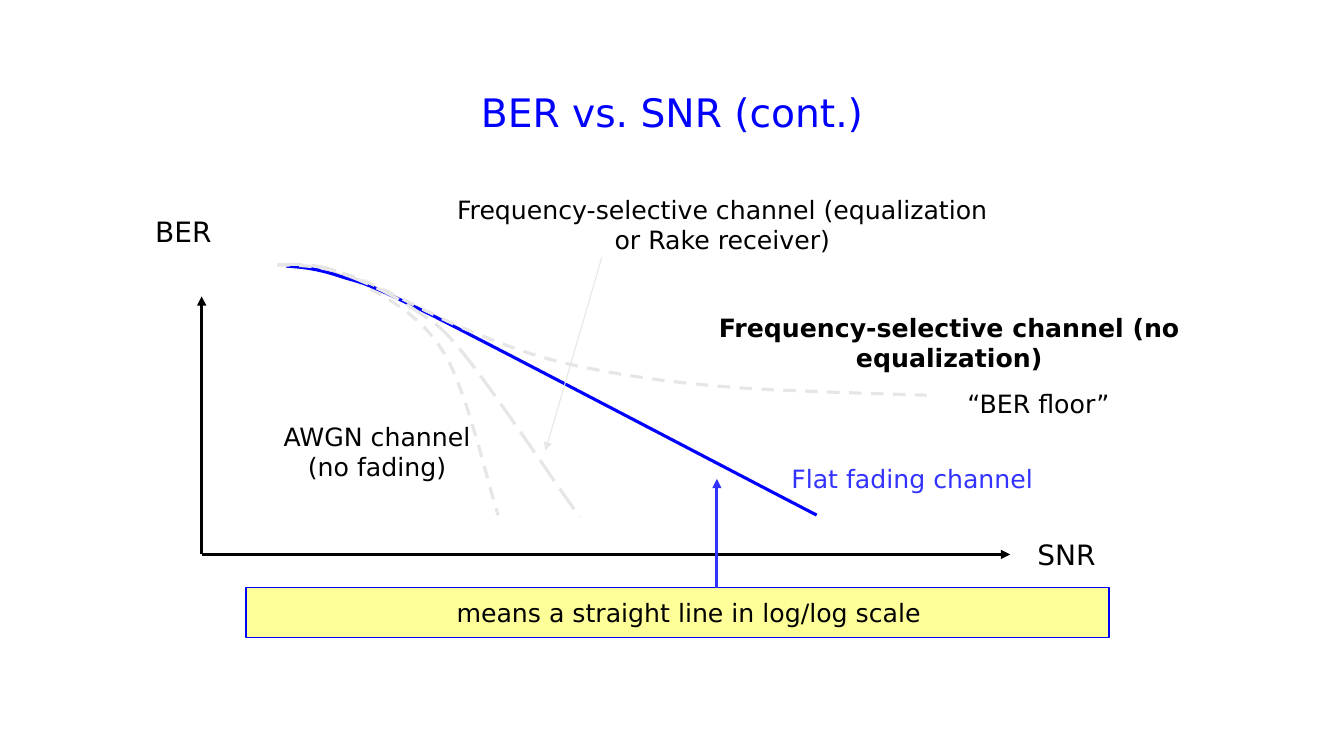
from dataclasses import dataclass
from lxml import etree
from pptx import Presentation
from pptx.dml.color import RGBColor
from pptx.enum.dml import MSO_LINE
from pptx.enum.shapes import MSO_CONNECTOR, MSO_SHAPE
from pptx.enum.text import MSO_ANCHOR, MSO_AUTO_SIZE, PP_ALIGN
from pptx.oxml.ns import qn
from pptx.util import Inches, Pt

RECT, STRAIGHT = MSO_SHAPE.RECTANGLE, MSO_CONNECTOR.STRAIGHT
DASH, LONG = MSO_LINE.DASH, MSO_LINE.LONG_DASH
LEFT, CENTER = PP_ALIGN.LEFT, PP_ALIGN.CENTER
TOP, FIXED = MSO_ANCHOR.TOP, MSO_AUTO_SIZE.NONE
FONT = "DejaVu Sans"
COLORS = {"black": "000000", "blue": "0000FF", "violet": "3333FF",
          "gray": "E7E6E6", "yellow": "FFFF99", "white": "FFFFFF"}
FRAME = {"word_wrap": True, "auto_size": FIXED, "vertical_anchor": TOP}
Point = tuple[float, float]
Box = tuple[float, float, float, float]


@dataclass
class Label:
    text: str
    box: Box
    size: int = 18
    color: str = "black"
    align: PP_ALIGN = LEFT
    bold: bool = False
    fill: str = ""


@dataclass
class Curve:
    """Start point, then three points for each Bezier segment."""
    points: list[Point]
    color: str = "gray"
    dash: MSO_LINE | None = None


@dataclass
class Arrow:
    start: Point
    end: Point
    color: str = "black"
    width: float = 2.25


TITLE = Label("BER vs. SNR (cont.)", (0.22, 0.83, 12.89, 0.57), 28, "blue", CENTER)
STRIP = (2.44, 5.83, 8.56, 0.5)
ORIGIN = (2, 5.5)

CURVES = [
    Curve([(2.84, 2.64), (3.1, 2.66), (3.37, 2.69), (3.63, 2.84),
           (3.89, 2.99), (4.2, 3.15), (4.42, 3.53),
           (4.64, 3.91), (4.85, 4.84), (4.94, 5.11)], dash=DASH),
    Curve([(2.84, 2.64), (2.98, 2.65), (3.13, 2.66), (3.37, 2.74),
           (3.61, 2.82), (3.5, 2.74), (4.29, 3.13),
           (5.08, 3.53), (7.46, 4.78), (8.1, 5.11)], "blue"),
    Curve([(2.75, 2.63), (2.96, 2.63), (3.17, 2.63), (3.49, 2.74),
           (3.81, 2.85), (4.31, 3.15), (4.68, 3.29),
           (5.05, 3.44), (5.27, 3.53), (5.72, 3.63),
           (6.17, 3.72), (6.56, 3.79), (7.36, 3.85),
           (8.15, 3.9), (9.96, 3.94), (10.48, 3.96)], dash=DASH),
    Curve([(2.75, 2.63), (2.86, 2.62), (2.97, 2.62), (3.08, 2.63),
           (3.19, 2.65), (3.25, 2.65), (3.41, 2.72),
           (3.58, 2.78), (3.88, 2.91), (4.08, 3.05),
           (4.28, 3.19), (4.36, 3.2), (4.63, 3.55),
           (4.91, 3.9), (5.56, 4.87), (5.75, 5.13)], dash=LONG),
]
ARROWS = [
    Arrow(ORIGIN, (10.02, 5.5)),
    Arrow(ORIGIN, (2, 2.94)),
    Arrow((5.97, 2.55), (5.41, 4.47), "gray", 0.75),
    Arrow((7.11, 5.83), (7.11, 4.75), "violet"),
]
LABELS = [
    Label("SNR", (10.19, 5.28, 1.2, 0.42), 20),
    Label("BER", (1.44, 2.08, 1.05, 0.42), 20),
    Label("Frequency-selective channel (no equalization)",
          (6.75, 3.05, 5.33, 0.79), align=CENTER, bold=True),
    Label("Flat fading channel", (7.75, 4.55, 3.74, 0.49), color="violet"),
    Label("AWGN channel (no fading)", (2.63, 4.13, 2.22, 1.01), align=CENTER),
    Label("Frequency-selective channel (equalization or Rake receiver)",
          (4.3, 1.88, 5.73, 0.79), align=CENTER),
    Label("“BER floor”", (9.19, 3.8, 2.22, 0.42), align=CENTER, fill="white"),
    Label("means a straight line in log/log scale", (4.43, 5.88, 7.33, 0.4)),
]


def tint(name: str) -> RGBColor:
    return RGBColor.from_string(COLORS[name])


def paint(fill, name: str) -> None:
    fill.solid()
    fill.fore_color.rgb = tint(name)


def stroke(line, color: str, width: float, dash: MSO_LINE | None = None) -> None:
    line.color.rgb = tint(color)
    line.width = Pt(width)
    if dash is not None:
        line.dash_style = dash


def write(shape, label: Label) -> None:
    frame = shape.text_frame
    frame.text = label.text
    para = frame.paragraphs[0]
    para.alignment = label.align
    for key, value in FRAME.items():
        setattr(frame, key, value)
    style = {"name": FONT, "size": Pt(label.size), "bold": label.bold}
    for key, value in style.items():
        setattr(para.font, key, value)
    para.font.color.rgb = tint(label.color)


def add_label(shapes, label: Label) -> None:
    shape = shapes.add_textbox(*map(Inches, label.box))
    if label.fill:
        paint(shape.fill, label.fill)
    write(shape, label)


def add_strip(shapes) -> None:
    strip = shapes.add_shape(RECT, *map(Inches, STRIP))
    strip.shadow.inherit = False
    paint(strip.fill, "yellow")
    stroke(strip.line, "blue", 0.75)


def add_curve(shapes, curve: Curve) -> None:
    """Build an outline and turn each three line steps into one Bezier."""
    points = [(Inches(x), Inches(y)) for x, y in curve.points]
    build = shapes.build_freeform(*points[0])
    build.add_line_segments(points[1:], close=False)
    shape = build.convert_to_shape()
    shape.shadow.inherit = False
    shape.fill.background()
    stroke(shape.line, curve.color, 2.25, curve.dash)
    track = next(shape.element.iter(qn("a:path")))
    steps = track.findall(qn("a:lnTo"))
    for i in range(0, len(steps), 3):
        bend = etree.SubElement(track, qn("a:cubicBezTo"))
        for step in steps[i:i + 3]:
            bend.append(step[0])
            track.remove(step)


def add_arrow(shapes, arrow: Arrow) -> None:
    link = shapes.add_connector(STRAIGHT, *map(Inches, arrow.start + arrow.end))
    stroke(link.line, arrow.color, arrow.width)
    props = link.element.spPr
    etree.SubElement(props.find(qn("a:ln")), qn("a:tailEnd"), type="triangle")
    etree.SubElement(props, qn("a:effectLst"))


def main() -> None:
    deck = Presentation()
    deck.slide_width, deck.slide_height = Inches(13.33), Inches(7.5)
    slide = deck.slides.add_slide(deck.slide_layouts[5])
    shapes = slide.shapes
    title = shapes.title
    sides = ("left", "top", "width", "height")
    for side, value in zip(sides, TITLE.box):
        setattr(title, side, Inches(value))
    write(title, TITLE)
    add_strip(shapes)
    for curve in CURVES:
        add_curve(shapes, curve)
    for arrow in ARROWS:
        add_arrow(shapes, arrow)
    for label in LABELS:
        add_label(shapes, label)
    deck.save("out.pptx")


if __name__ == "__main__":
    main()
